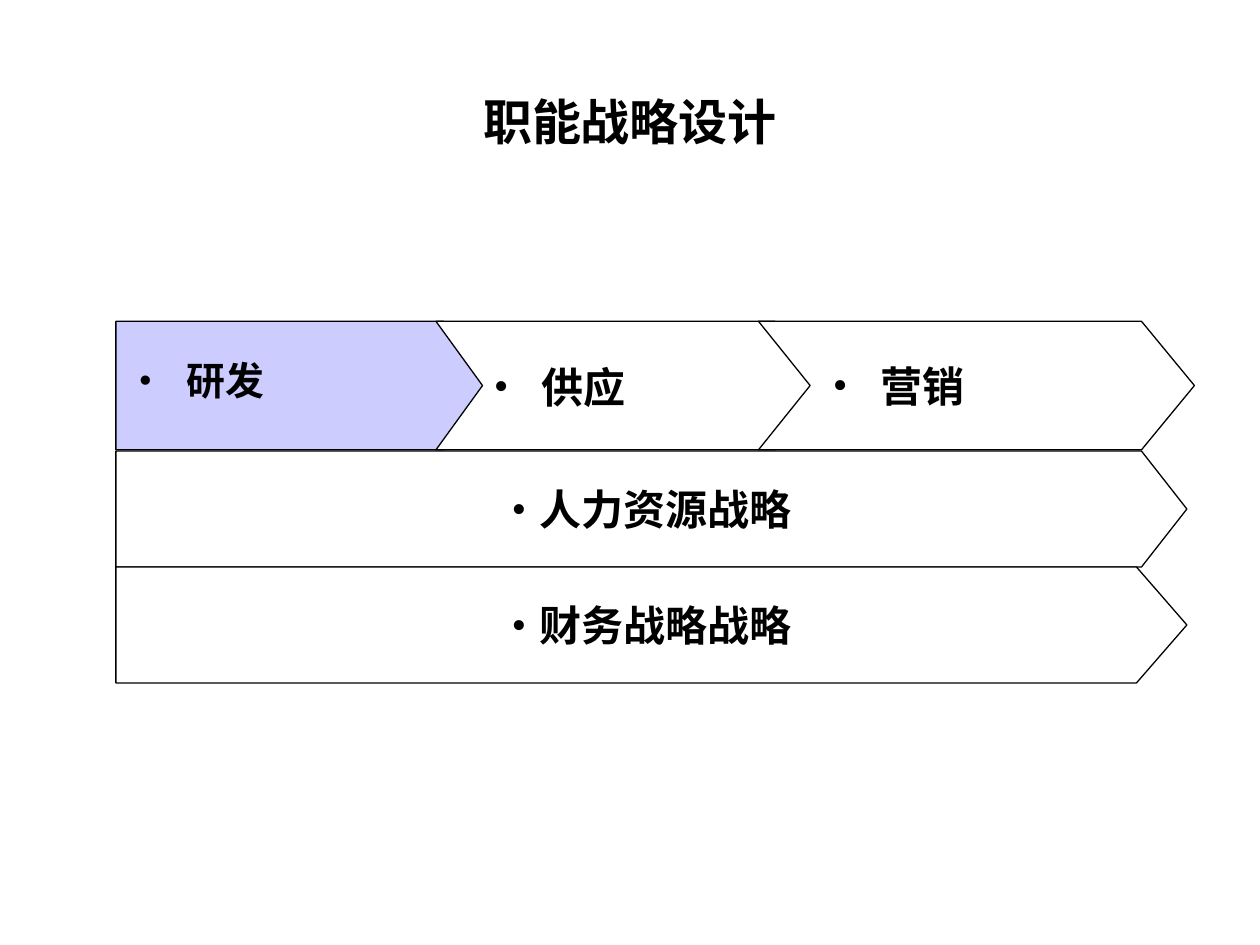
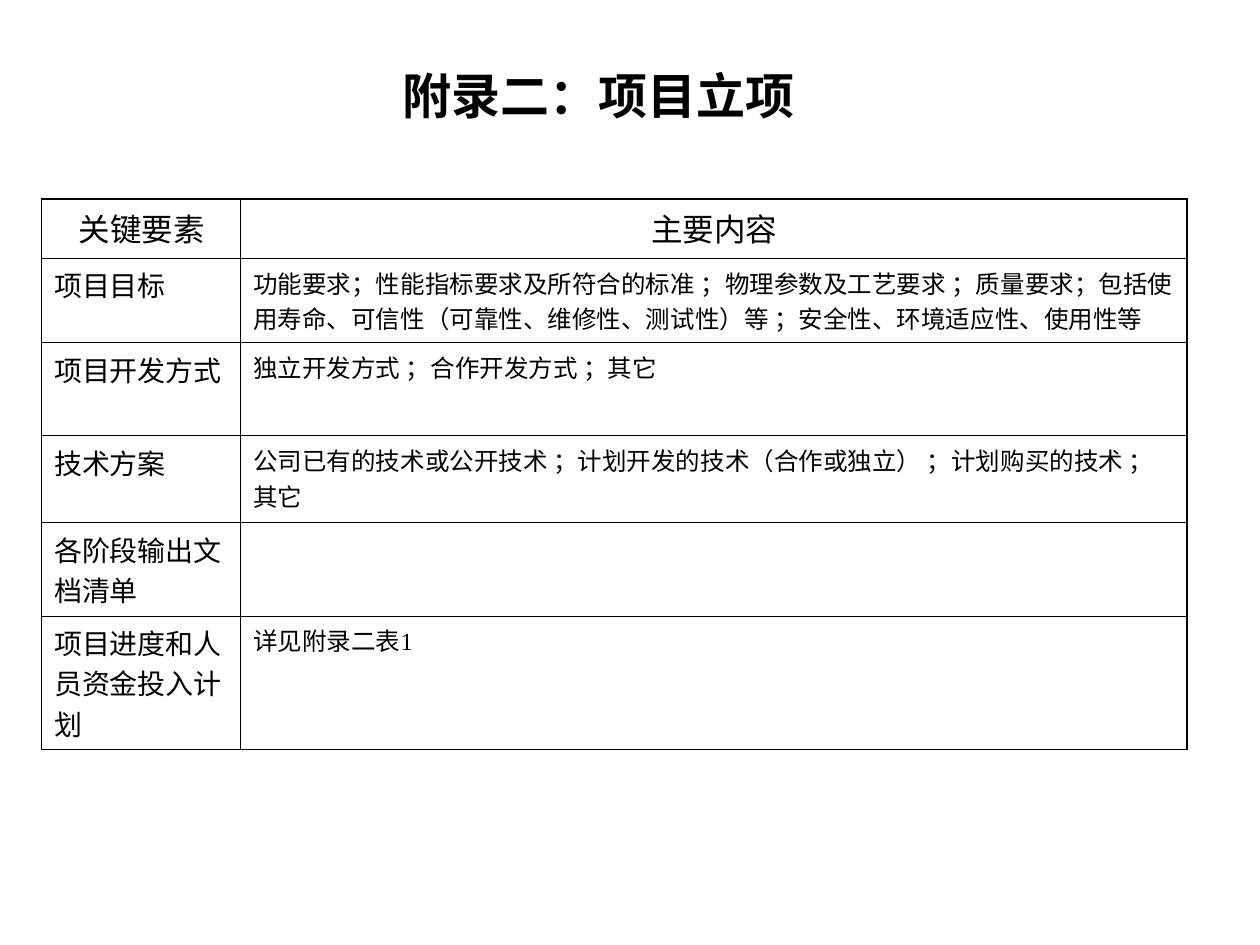
from typing import NamedTuple

from lxml.etree import SubElement
from pptx import Presentation
from pptx.dml.color import RGBColor
from pptx.enum.text import MSO_ANCHOR, PP_ALIGN
from pptx.oxml.ns import qn
from pptx.util import Emu, Pt

PX = 9144  # EMU in one px, 100 px to the inch
BLACK, WHITE, LILAC = "000000", "FFFFFF", "CCCCFF"
SERIF, SANS = "Times New Roman", "Noto Sans CJK SC"
OUTER_BORDER, INNER_BORDER = 1.08, 0.45


class Box(NamedTuple):
    left: int
    top: int
    width: int
    height: int


class TextStyle(NamedTuple):
    size: float
    font: str = SERIF
    bold: bool = False
    align: PP_ALIGN = PP_ALIGN.LEFT
    bullet: bool = False
    hanging: int = 0
    line_spacing: float | None = None


class Arrow(NamedTuple):
    """A block pointing right; notch is the depth cut into its left side."""
    left: int
    shoulder: int
    tip: int
    top: int
    bottom: int
    notch: int = 0
    fill: str = WHITE
    text: str = ""


class Label(NamedTuple):
    text: str
    box: Box
    style: TextStyle


TITLE = TextStyle(28, bold=True, align=PP_ALIGN.CENTER)
BAND = TextStyle(24, bold=True, align=PP_ALIGN.CENTER, bullet=True, hanging=22)
STEP = TextStyle(24, SANS, True, bullet=True, hanging=38)
HEADER = TextStyle(18, align=PP_ALIGN.CENTER)
ELEMENT = TextStyle(16)
CONTENT = TextStyle(14)

LEFT, STEP_TOP, STEP_BOTTOM = 92, 255, 357
BAND_TOP, BAND_HEIGHT, BAND_TIP = 358, 92, 942

STEPS = [
    Arrow(LEFT, 352, 388, STEP_TOP, STEP_BOTTOM, fill=LILAC),
    Arrow(346, 615, 651, STEP_TOP, STEP_BOTTOM, notch=37),
    Arrow(602, 906, 948, STEP_TOP, STEP_BOTTOM, notch=41),
]
STEP_LABELS = [
    Label("研发", Box(105, 284, 198, 40), STEP._replace(size=22.2, line_spacing=0.9)),
    Label("供应", Box(387, 263, 209, 88), STEP),
    Label("营销", Box(656, 262, 196, 88), STEP),
]
BANDS = [("人力资源战略", 906), ("财务战略战略", 902)]

COLUMN_WIDTHS = [158, 751]
ROW_HEIGHTS = [47, 67, 74, 69, 74, 106]
PROJECT_ROWS = [
    ("关键要素", "主要内容"),
    ("项目目标", "功能要求；性能指标要求及所符合的标准 ；物理参数及工艺要求 ；质量要求；"
     "包括使用寿命、可信性（可靠性、维修性、测试性）等 ；安全性、环境适应性、使用性等"),
    ("项目开发方式", "独立开发方式 ；合作开发方式 ；其它"),
    ("技术方案", "公司已有的技术或公开技术 ；计划开发的技术（合作或独立） ；计划购买的技术 ；其它"),
    ("各阶段输出文档清单", ""),
    ("项目进度和人员资金投入计划", "详见附录二表1"),
]


def px(length: int) -> Emu:
    return Emu(length * PX)


def rgb(color: str) -> RGBColor:
    return RGBColor.from_string(color)


def add_solid_color(parent, color: str) -> None:
    fill = SubElement(parent, qn("a:solidFill"))
    SubElement(fill, qn("a:srgbClr"), val=color)


def write(frame, text: str, style: TextStyle) -> None:
    frame.text = text
    paragraph = frame.paragraphs[0]
    paragraph.alignment = style.align
    if style.bullet:
        properties = paragraph._p.get_or_add_pPr()
        properties.set("marL", str(px(style.hanging)))
        properties.set("indent", str(px(-style.hanging)))
        bullet_color = SubElement(properties, qn("a:buClr"))
        SubElement(bullet_color, qn("a:srgbClr"), val=BLACK)
        SubElement(properties, qn("a:buFont"), typeface=SERIF)
        SubElement(properties, qn("a:buChar"), char="•")
    if style.line_spacing:
        paragraph.line_spacing = style.line_spacing
    for run in paragraph.runs:
        run.font.size = Pt(style.size)
        run.font.bold = style.bold
        run.font.color.rgb = rgb(BLACK)
        run.font.name = style.font
        SubElement(run._r.get_or_add_rPr(), qn("a:ea"), typeface=SANS)


def add_text(slide, label: Label, margin_x: int = 5, margin_y: int = 0) -> None:
    frame = slide.shapes.add_textbox(*map(px, label.box)).text_frame
    frame.word_wrap = True
    frame.vertical_anchor = MSO_ANCHOR.MIDDLE
    frame.margin_left = frame.margin_right = px(margin_x)
    frame.margin_top = frame.margin_bottom = px(margin_y)
    write(frame, label.text, label.style)


def add_title(slide, text: str, box: Box) -> None:
    add_text(slide, Label(text, box, TITLE), margin_x=10, margin_y=5)


def add_arrow(slide, arrow: Arrow) -> None:
    middle = (arrow.top + arrow.bottom) // 2
    outline = [
        (arrow.shoulder, arrow.top),
        (arrow.tip, middle),
        (arrow.shoulder, arrow.bottom),
        (arrow.left, arrow.bottom),
    ]
    if arrow.notch:
        outline.append((arrow.left + arrow.notch, middle))
    builder = slide.shapes.build_freeform(arrow.left, arrow.top, scale=PX)
    builder.add_line_segments(outline, close=True)
    block = builder.convert_to_shape()
    block.shadow.inherit = False
    block.fill.solid()
    block.fill.fore_color.rgb = rgb(arrow.fill)
    block.line.color.rgb = rgb(BLACK)
    block.line.width = Pt(0.75)
    if arrow.text:
        block.text_frame.word_wrap = False
        block.text_frame.vertical_anchor = MSO_ANCHOR.MIDDLE
        write(block.text_frame, arrow.text, BAND)


def set_borders(cell, outer_sides: dict[str, bool]) -> None:
    """Draw the four borders, heavier on the sides that lie on the table's edge."""
    properties = cell._tc.get_or_add_tcPr()
    for position, (side, is_outer) in enumerate(outer_sides.items()):
        width = Pt(OUTER_BORDER if is_outer else INNER_BORDER)
        border = SubElement(properties, qn(f"a:ln{side}"), w=str(width))
        add_solid_color(border, BLACK)
        properties.insert(position, border)


def add_project_table(slide, left: int, top: int) -> None:
    row_count, column_count = len(ROW_HEIGHTS), len(COLUMN_WIDTHS)
    area = Box(left, top, sum(COLUMN_WIDTHS), sum(ROW_HEIGHTS))
    table = slide.shapes.add_table(row_count, column_count, *map(px, area)).table
    table.first_row = table.horz_banding = False
    for column, width in zip(table.columns, COLUMN_WIDTHS):
        column.width = px(width)
    for r, (height, texts) in enumerate(zip(ROW_HEIGHTS, PROJECT_ROWS)):
        table.rows[r].height = px(height)
        styles = (ELEMENT, CONTENT) if r else (HEADER, HEADER)
        for c, (text, style) in enumerate(zip(texts, styles)):
            cell = table.cell(r, c)
            cell.fill.background()
            cell.margin_left, cell.margin_right = px(10), px(9)
            cell.margin_top = cell.margin_bottom = px(5)
            write(cell.text_frame, text, style)
            set_borders(cell, {
                "L": c == 0,
                "R": c == column_count - 1,
                "T": r == 0,
                "B": r == row_count - 1,
            })


def build_strategy_slide(slide) -> None:
    add_title(slide, "职能战略设计", Box(75, 67, 850, 58))
    for step in STEPS:
        add_arrow(slide, step)
    for label in STEP_LABELS:
        add_text(slide, label)
    for i, (text, shoulder) in enumerate(BANDS):
        top = BAND_TOP + i * BAND_HEIGHT
        add_arrow(slide, Arrow(LEFT, shoulder, BAND_TIP, top, top + BAND_HEIGHT, text=text))


def build_project_slide(slide) -> None:
    add_title(slide, "附录二：项目立项", Box(50, 42, 850, 67))
    add_project_table(slide, 33, 158)


def main() -> None:
    deck = Presentation()
    deck.slide_width, deck.slide_height = px(1000), px(750)
    blank = deck.slide_layouts[6]
    for build in (build_strategy_slide, build_project_slide):
        build(deck.slides.add_slide(blank))
    deck.save("out.pptx")


if __name__ == "__main__":
    main()
